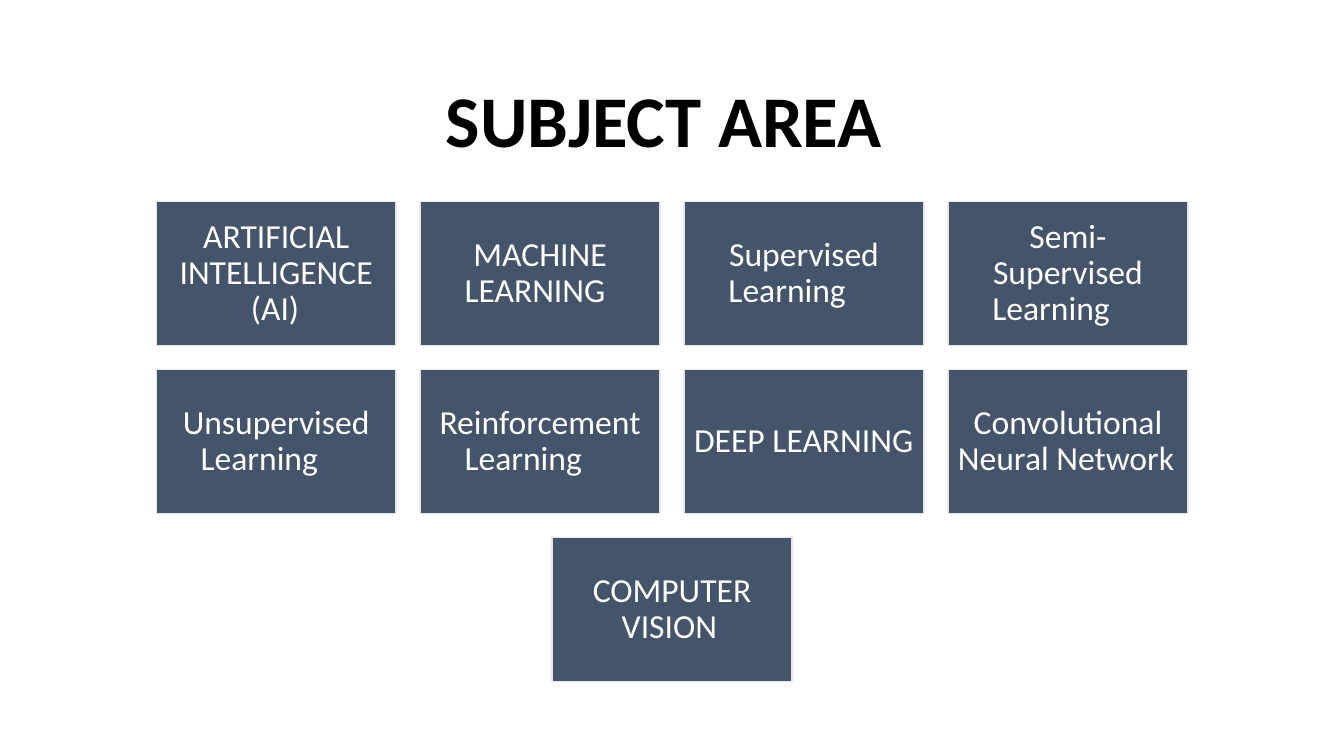
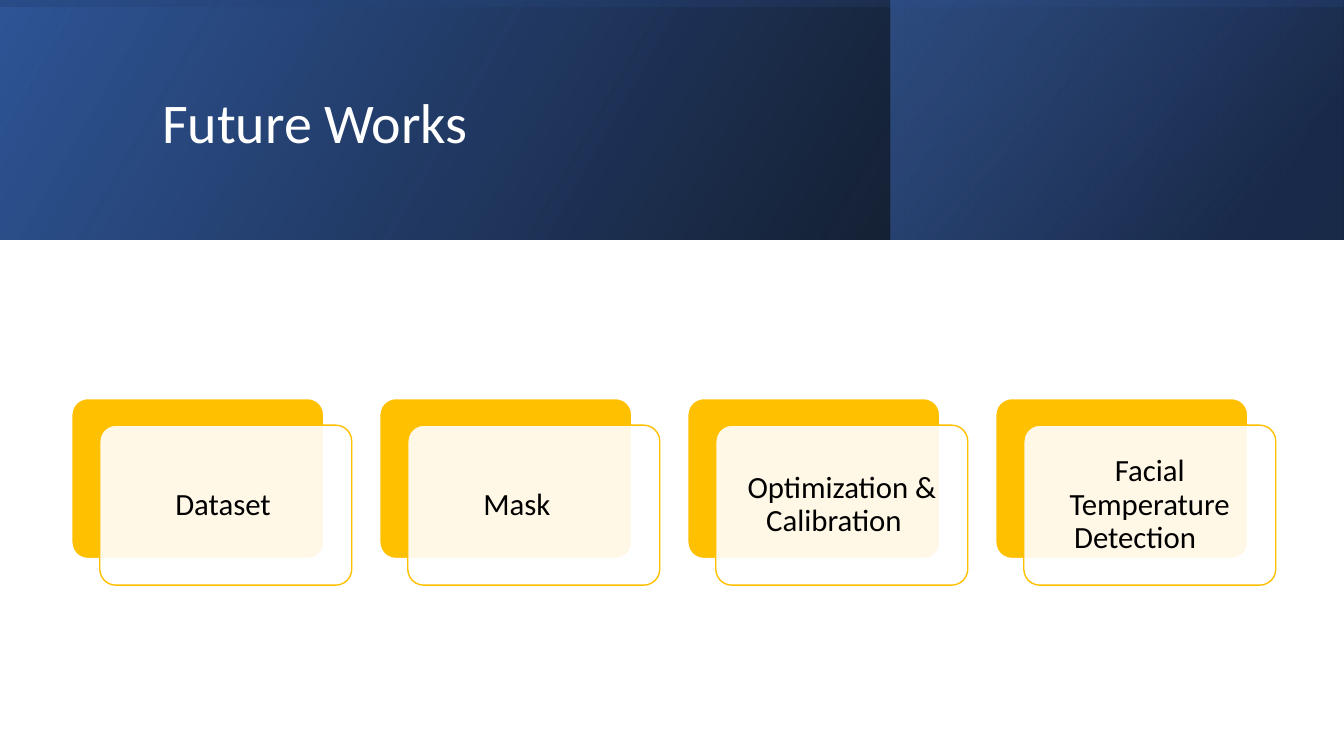
import lxml.etree
import pptx
import pptx.dml.color
import pptx.enum.shapes
import pptx.enum.text
import pptx.oxml
import pptx.oxml.ns
import pptx.util

Pt = pptx.util.Pt
RGB = pptx.dml.color.RGBColor
SHAPE = pptx.enum.shapes.MSO_SHAPE
ALIGN = pptx.enum.text.PP_ALIGN
MIDDLE = pptx.enum.text.MSO_ANCHOR.MIDDLE

WHITE = RGB(0xFF, 0xFF, 0xFF)
BLACK = RGB(0, 0, 0)
SLATE = RGB(0x44, 0x54, 0x6A)
PALE = RGB(0xE7, 0xE6, 0xE6)
GOLD = RGB(0xFF, 0xC0, 0x00)
BLUE = RGB(0x2F, 0x55, 0x97)
NAVY = RGB(0x20, 0x38, 0x64)
SKY = RGB(0x44, 0x72, 0xC4)

FONT = "Calibri"
W, H = 960, 540
MARGINS = ("margin_left", "margin_top", "margin_right", "margin_bottom")

TOPICS = [
    "ARTIFICIAL INTELLIGENCE (AI)\t", "MACHINE LEARNING\t",
    "Supervised Learning\t", "Semi-Supervised Learning\t",
    "Unsupervised Learning\t", "Reinforcement Learning\t",
    "DEEP LEARNING\t", "Convolutional Neural Network\t",
    "COMPUTER VISION\t",
]
WORKS = ["Dataset\t", "Mask\t", "Optimization & Calibration\t",
         "Facial Temperature Detection\t"]


def set_all(obj, values):
    for name, value in values.items():
        setattr(obj, name, value)


def write(sp, text, size, color, align=ALIGN.CENTER, bold=False, inset=None):
    tf = sp.text_frame
    set_all(tf, {"word_wrap": True, "vertical_anchor": MIDDLE})
    if inset is not None:
        set_all(tf, dict.fromkeys(MARGINS, Pt(inset)))
    p = tf.paragraphs[0]
    set_all(p, {"alignment": align, "line_spacing": 0.9})
    r = p.add_run()
    r.text = text
    set_all(r.font, {"name": FONT, "size": Pt(size), "bold": bold})
    r.font.color.rgb = color


def add_title(s, box, text, size, color, **style):
    sp = s.shapes.add_textbox(*map(Pt, box))
    write(sp, text, size, color, **style)


def add_block(s, kind, box, fill=None, line=None):
    sp = s.shapes.add_shape(kind, *map(Pt, box))
    sp.shadow.inherit = False
    if fill is not None:
        sp.fill.solid()
        sp.fill.fore_color.rgb = fill
    if line is None:
        sp.line.fill.background()
    else:
        sp.line.color.rgb = line
        sp.line.width = Pt(1)
    return sp


def add_alpha(color_el, percent):
    alpha = lxml.etree.SubElement(color_el, pptx.oxml.ns.qn("a:alpha"))
    alpha.set("val", str(percent * 1000))


def add_gradient(s, box, stops, angle, rotation=0):
    sp = add_block(s, SHAPE.RECTANGLE, box)
    sp.rotation = rotation
    spPr = sp._element.spPr
    spPr.find(pptx.oxml.ns.qn("a:xfrm")).set("flipH", "1")
    grad = pptx.oxml.parse_xml(
        f'<a:gradFill {pptx.oxml.ns.nsdecls("a")} rotWithShape="1"><a:gsLst/>'
        f'<a:lin ang="{angle * 60000}" scaled="0"/></a:gradFill>')
    for position, color, opacity in stops:
        gs = lxml.etree.SubElement(grad[0], pptx.oxml.ns.qn("a:gs"))
        gs.set("pos", str(position * 1000))
        clr = lxml.etree.SubElement(gs, pptx.oxml.ns.qn("a:srgbClr"))
        clr.set("val", str(color))
        add_alpha(clr, opacity)
    spPr.find(pptx.oxml.ns.qn("a:prstGeom")).addnext(grad)


def add_topic_grid(s, left, top, width, topics, cols=4):
    w = width / (cols + 0.1 * (cols - 1))
    h, gap = 0.6 * w, 0.1 * w
    for start in range(0, len(topics), cols):
        row = topics[start:start + cols]
        indent = (cols - len(row)) * (w + gap) / 2
        y = top + start // cols * (h + gap)
        for i, topic in enumerate(row):
            box = (left + indent + i * (w + gap), y, w, h)
            sp = add_block(s, SHAPE.RECTANGLE, box, SLATE, PALE)
            write(sp, topic, 24, WHITE, inset=7.2)


def add_header_band(s, left, top, width, height):
    add_gradient(s, (left, top, width, height),
                 [(0, BLACK, 96), (100, BLUE, 100)], 330)
    side = width / 3 + 3
    add_gradient(s, (left + width - side - 0.5, top, side, height),
                 [(19, NAVY, 68), (100, SKY, 48)], 320)
    shift = (width - height) / 2
    add_gradient(s, (left + shift, top - shift, height, width),
                 [(23, BLUE, 16), (99, BLACK, 45)], 350, rotation=270)


def add_card_row(s, left, top, width, height, labels):
    unit = width / (11 * len(labels) - 1)
    drop = 19
    for i, label in enumerate(labels):
        x = left + i * 11 * unit
        w, h = 9 * unit, height - drop
        back = add_block(s, SHAPE.ROUNDED_RECTANGLE, (x, top, w, h), GOLD, WHITE)
        front = add_block(s, SHAPE.ROUNDED_RECTANGLE,
                          (x + unit, top + drop, w, h), WHITE, GOLD)
        for sp in (back, front):
            sp.adjustments[0] = 0.1
        fill = front._element.spPr.find(pptx.oxml.ns.qn("a:solidFill"))
        add_alpha(fill[0], 90)
        write(front, label, 22, BLACK, inset=6.6)


def build_subject_slide(s):
    add_title(s, (66, 44, 828, 89), "SUBJECT AREA ", 52, BLACK, bold=True)
    add_topic_grid(s, 111.6, 144, 737, TOPICS)


def build_future_slide(s):
    add_header_band(s, 0, 0, W, 171)
    add_title(s, (108.7, 27.4, 765, 124), "Future Works", 40, WHITE,
              align=ALIGN.LEFT)
    add_card_row(s, 51.3, 284.7, 860, 133.3, WORKS)


prs = pptx.Presentation()
set_all(prs, {"slide_width": Pt(W), "slide_height": Pt(H)})
for build in (build_subject_slide, build_future_slide):
    build(prs.slides.add_slide(prs.slide_layouts[6]))
prs.save("out.pptx")
